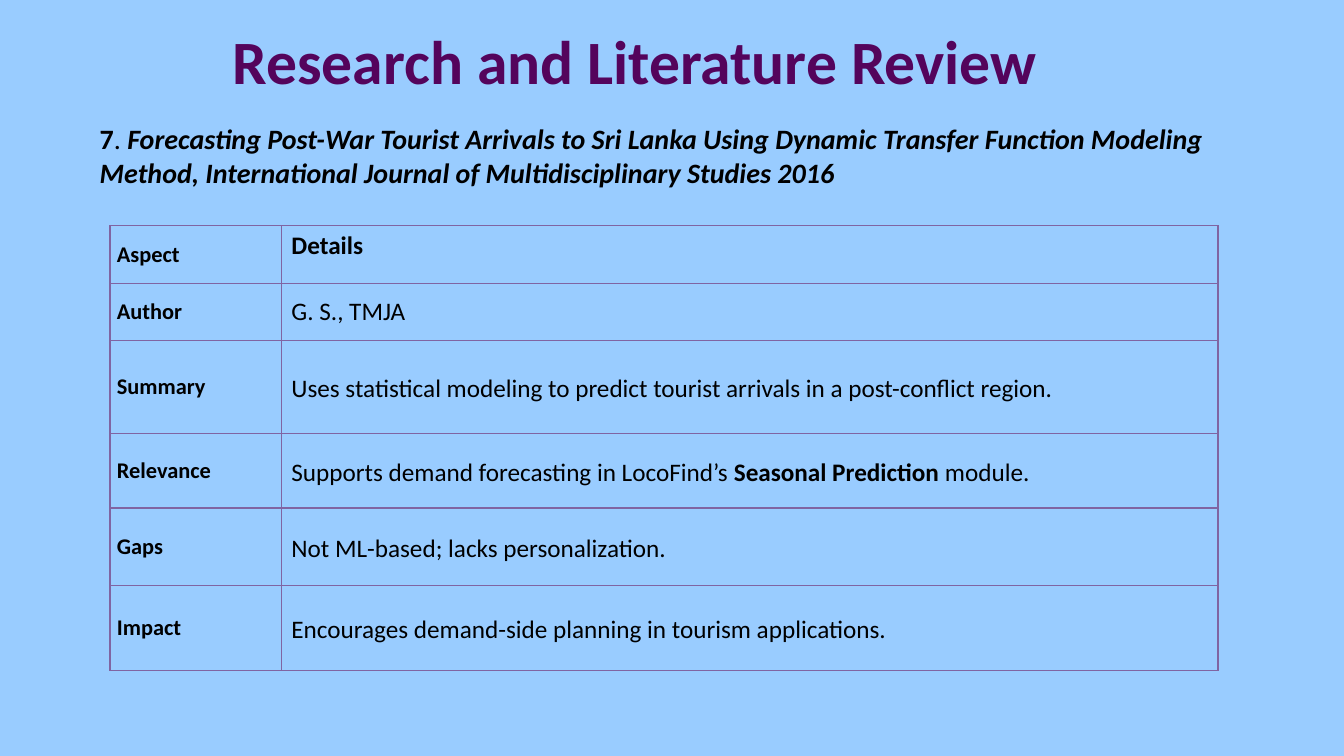
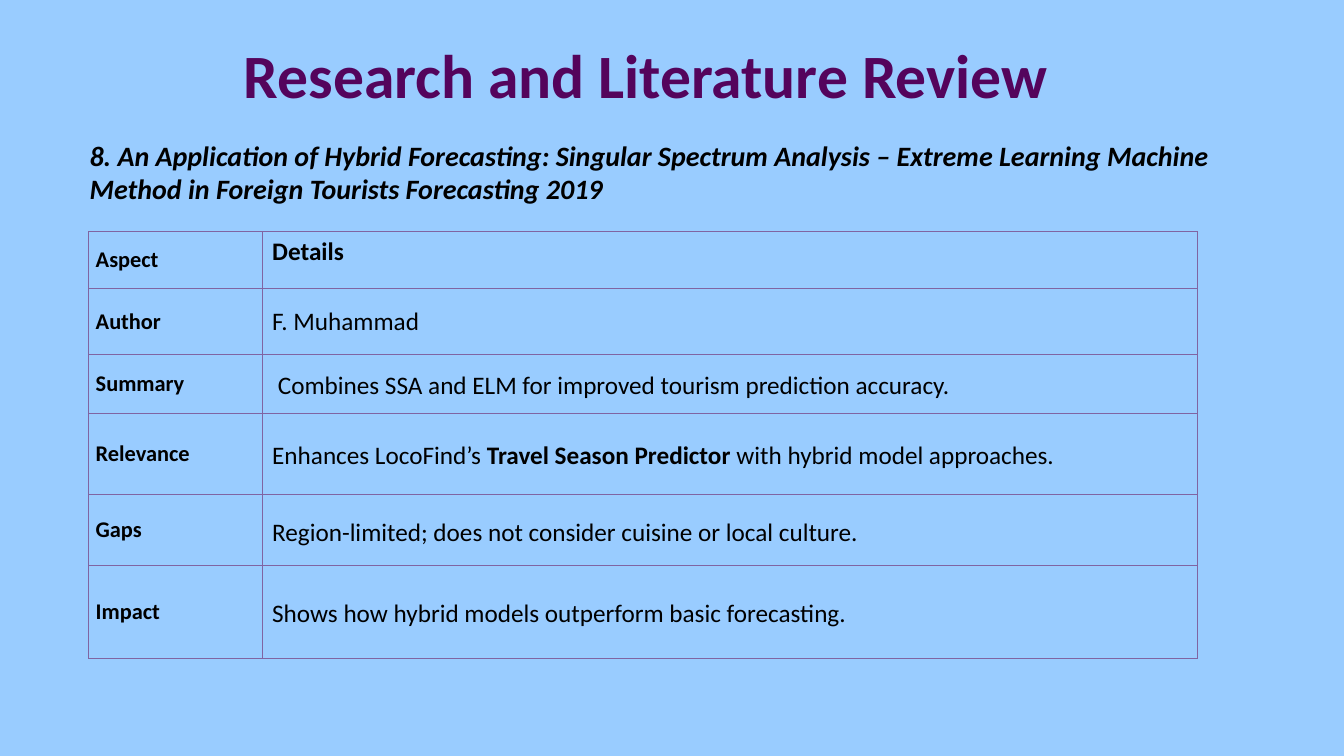
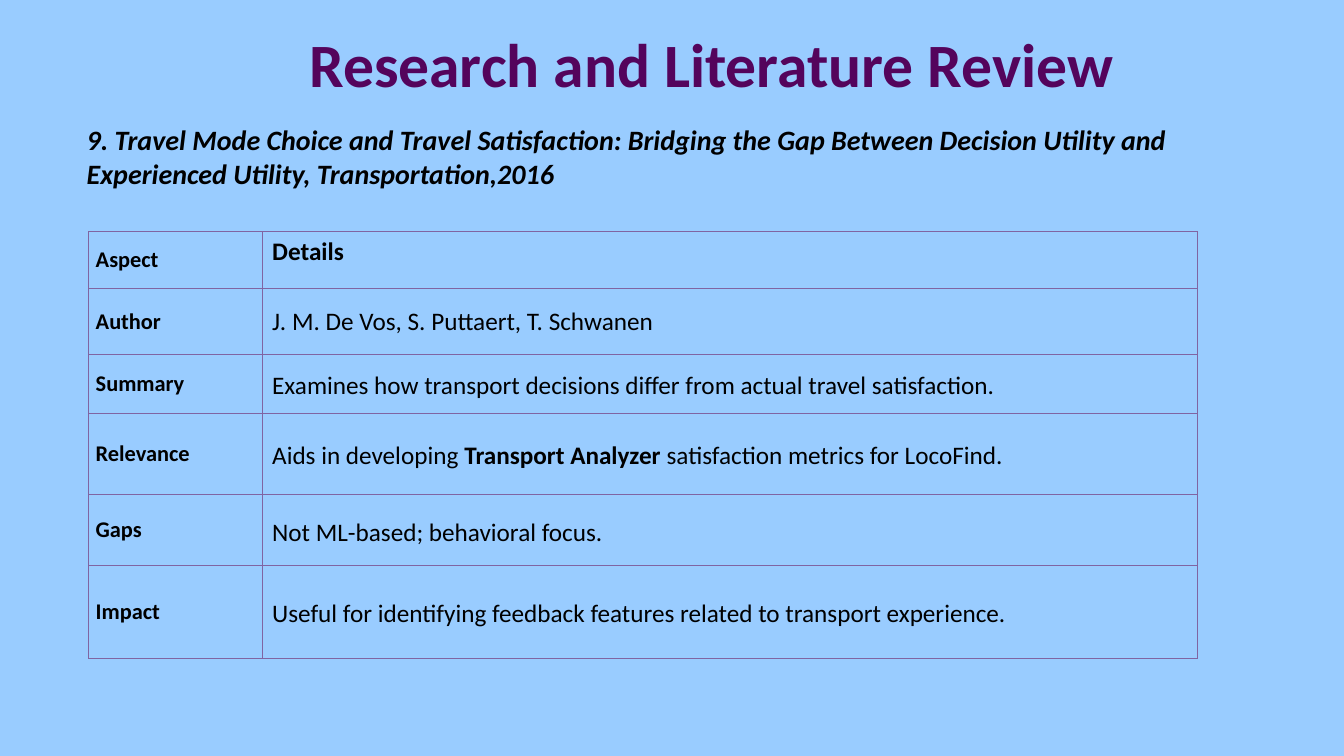
from lxml.etree import SubElement
from pptx import Presentation
from pptx.dml.color import RGBColor
from pptx.enum.text import MSO_ANCHOR, MSO_AUTO_SIZE, PP_ALIGN
from pptx.oxml.ns import qn
from pptx.util import Inches, Pt

COLORS = {"sky": "99CCFF", "plum": "54045C", "ink": "000000", "grid": "8064A2"}
FONT = "Calibri"
TITLE = "Research and Literature Review"
NO_STYLE = "{2D5ABB26-0587-4C30-8999-92F81FD0307C}"
ASPECTS = ["Author", "Summary", "Relevance", "Gaps", "Impact"]

TITLE_FORMAT = {"size": Pt(44), "bold": True}
HEADING_FORMAT = {"size": Pt(20), "bold": True, "italic": True}
LABEL_FORMAT = {"size": Pt(16), "bold": True}
DETAIL_FORMAT = {"size": Pt(18), "bold": False}
STRONG_FORMAT = DETAIL_FORMAT | {"bold": True}

LABEL_MARGINS = (0.07, 0.04)
DETAIL_MARGINS = (0.1, 0.05)
LATER_GRID = {
    "place": (0.88, 2.3),
    "columns": [1.72, 9.28],
    "rows": [0.56, 0.66, 0.58, 0.81, 0.7, 0.92],
}


class ReviewDeck:
    def __init__(self):
        self.deck = Presentation()
        self.deck.slide_width, self.deck.slide_height = Inches(13.33), Inches(7.5)
        fill = self.deck.slide_master.background.fill
        fill.solid()
        fill.fore_color.rgb = RGBColor.from_string(COLORS["sky"])
        self.page = None

    def add_page(self, title_place):
        self.page = self.deck.slides.add_slide(self.deck.slide_layouts[5])
        title = self.page.shapes.title
        title.left, title.top, title.width, title.height = map(Inches, title_place)
        frame = title.text_frame
        frame.word_wrap = False
        frame.auto_size = MSO_AUTO_SIZE.NONE
        frame.vertical_anchor = MSO_ANCHOR.MIDDLE
        para = frame.paragraphs[0]
        para.alignment = PP_ALIGN.CENTER
        self.add_spans(para, [(TITLE, TITLE_FORMAT)], "plum")

    def add_spans(self, para, spans, color="ink"):
        for text, font_format in spans:
            span = para.add_run()
            span.text = text
            for name, value in font_format.items():
                setattr(span.font, name, value)
            span.font.name = FONT
            span.font.color.rgb = RGBColor.from_string(COLORS[color])

    def add_heading(self, place, spans):
        box = self.page.shapes.add_textbox(*map(Inches, place))
        box.text_frame.word_wrap = True
        self.add_spans(box.text_frame.paragraphs[0], spans)

    def add_heading_table(self, place, spans):
        left, top, width, height = place
        table = self.add_table((left, top), [width], [height])
        cell = table.cell(0, 0)
        cell.vertical_anchor = MSO_ANCHOR.MIDDLE
        self.add_spans(cell.text_frame.paragraphs[0], spans)

    def add_table(self, place, columns, rows):
        """Add an empty table without any built-in style."""
        size = sum(columns), sum(rows)
        frame = self.page.shapes.add_table(
            len(rows), len(columns), *map(Inches, place + size))
        frame._element.xpath(".//a:tableStyleId")[0].text = NO_STYLE
        table = frame.table
        table.first_row = table.horz_banding = False
        for column, width in zip(table.columns, columns):
            column.width = Inches(width)
        for row, height in zip(table.rows, rows):
            row.height = Inches(height)
        return table

    def add_review(self, grid, details):
        """Fill the aspect table; text between | marks is bold."""
        table = self.add_table(**grid)
        self.fill_cell(table.cell(0, 0), [("Aspect", LABEL_FORMAT)], LABEL_MARGINS)
        self.fill_cell(table.cell(0, 1), [("Details", STRONG_FORMAT)],
                       DETAIL_MARGINS, MSO_ANCHOR.TOP)
        for row, (aspect, detail) in enumerate(zip(ASPECTS, details), 1):
            self.fill_cell(table.cell(row, 0), [(aspect, LABEL_FORMAT)], LABEL_MARGINS)
            spans = [(text, STRONG_FORMAT if index % 2 else DETAIL_FORMAT)
                     for index, text in enumerate(detail.split("|"))]
            cell = table.cell(row, 1)
            self.fill_cell(cell, spans, DETAIL_MARGINS)
            if aspect != "Author":
                cell.text_frame.paragraphs[0].line_spacing = 1.15

    def fill_cell(self, cell, spans, margins, anchor=MSO_ANCHOR.MIDDLE):
        side, edge = map(Inches, margins)
        cell.margin_left = cell.margin_right = side
        cell.margin_top = cell.margin_bottom = edge
        cell.vertical_anchor = anchor
        cell.fill.solid()
        cell.fill.fore_color.rgb = RGBColor.from_string(COLORS["sky"])
        self.add_spans(cell.text_frame.paragraphs[0], spans)
        self.add_borders(cell)

    def add_borders(self, cell):
        properties = cell._tc.get_or_add_tcPr()
        for index, side in enumerate("LRTB"):
            line = SubElement(properties, qn(f"a:ln{side}"), w=str(Pt(1)))
            fill = SubElement(line, qn("a:solidFill"))
            SubElement(fill, qn("a:srgbClr"), val=COLORS["grid"])
            properties.insert(index, line)


def main():
    review = ReviewDeck()

    review.add_page((2.14, 0.17, 8.32, 0.84))
    review.add_review(
        {"place": (1.09, 2.24), "columns": [1.7, 9.29],
         "rows": [0.57, 0.57, 0.92, 0.74, 0.77, 0.84]},
        ["G. S., TMJA",
         "Uses statistical modeling to predict tourist arrivals in a post-conflict region.",
         "Supports demand forecasting in LocoFind’s |Seasonal Prediction| module.",
         "Not ML-based; lacks personalization.",
         "Encourages demand-side planning in tourism applications."])
    review.add_heading((0.89, 1.16, 11.38, 0.77), [
        ("7", HEADING_FORMAT | {"italic": False}),
        (". ", HEADING_FORMAT | {"bold": False, "italic": False}),
        ("Forecasting Post-War Tourist Arrivals to Sri Lanka Using Dynamic Transfer "
         "Function Modeling Method, International Journal of Multidisciplinary "
         "Studies 2016", HEADING_FORMAT)])

    review.add_page((2.25, 0.31, 8.32, 0.84))
    review.add_review(LATER_GRID, [
        "F. Muhammad",
        " Combines SSA and ELM for improved tourism prediction accuracy.",
        "Enhances LocoFind’s |Travel Season Predictor| with hybrid model approaches.",
        "Region-limited; does not consider cuisine or local culture.",
        "Shows how hybrid models outperform basic forecasting."])
    review.add_heading((0.79, 1.32, 12.03, 0.77), [
        ("8. An Application of Hybrid Forecasting: Singular Spectrum Analysis – Extreme "
         "Learning Machine Method in Foreign Tourists Forecasting 2019", HEADING_FORMAT)])

    review.add_page((1.8, 0.2, 10.52, 0.84))
    review.add_heading_table((0.76, 1.15, 11.97, 0.84), [
        ("9. Travel Mode Choice and Travel Satisfaction: Bridging the Gap Between "
         "Decision Utility and Experienced Utility, Transportation,2016", HEADING_FORMAT)])
    review.add_review(LATER_GRID, [
        "J. M. De Vos, S. Puttaert, T. Schwanen",
        "Examines how transport decisions differ from actual travel satisfaction.",
        "Aids in developing |Transport Analyzer| satisfaction metrics for LocoFind.",
        "Not ML-based; behavioral focus.",
        "Useful for identifying feedback features related to transport experience."])

    review.deck.save("out.pptx")


if __name__ == "__main__":
    main()
